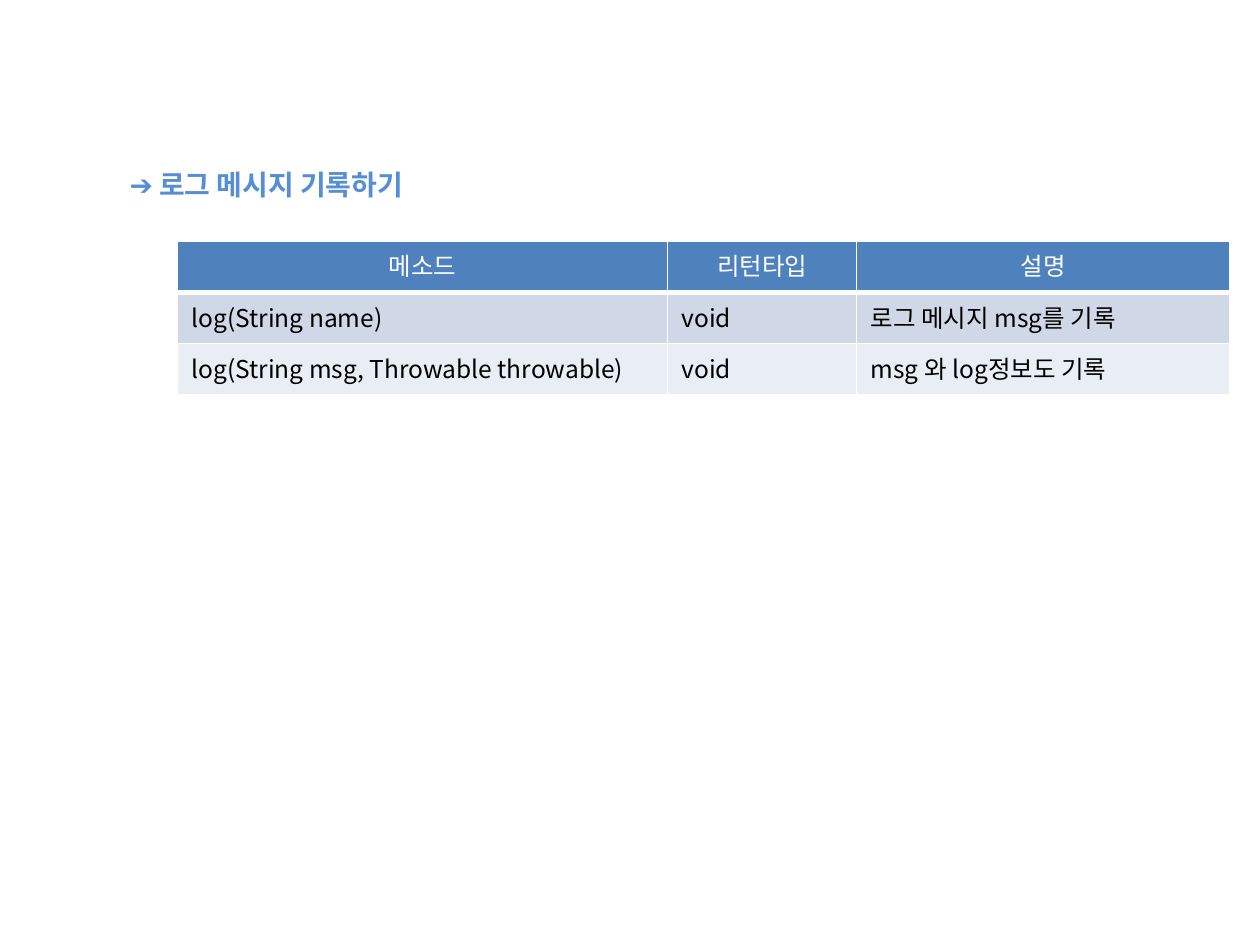
import pptx
import pptx.dml.color
import pptx.enum.text
import pptx.oxml
import pptx.oxml.ns
import pptx.util

FONT = "Noto Sans CJK KR"
WIDTH, HEIGHT = pptx.util.Inches(10), pptx.util.Inches(7.5)
ALIGN = pptx.enum.text.PP_ALIGN
INSETS = {"margin_left": 0.11, "margin_right": 0.11, "margin_top": 0.05, "margin_bottom": 0.05}
COLUMNS = (0.389, 0.15, 0.296)
ROW = 0.0543
FILLS = ("4F81BD", "D0D8E8", "E9EDF4")
METHODS = (
    ("메소드", "리턴타입", "설명"),
    ("log(String name)", "void", "로그 메시지 msg를 기록"),
    ("log(String msg, Throwable throwable)", "void", "msg 와 log정보도 기록"),
)


def rgb(value):
    """Return the colour of a hex string."""
    return pptx.dml.color.RGBColor.from_string(value)


def box(x, y, w, h):
    """Turn shares of the slide's size into left, top, width and height."""
    return int(x * WIDTH), int(y * HEIGHT), int(w * WIDTH), int(h * HEIGHT)


def write(tf, text, color, size, bold=False, align=ALIGN.LEFT):
    """Write one formatted line into a text frame."""
    p = tf.paragraphs[0]
    p.alignment = align
    r = p.add_run()
    r.text = text
    for name, value in {"name": FONT, "size": pptx.util.Pt(size), "bold": bold}.items():
        setattr(r.font, name, value)
    r.font.color.rgb = rgb(color)
    ea = pptx.oxml.parse_xml(f'<a:ea {pptx.oxml.ns.nsdecls("a")} typeface="{FONT}"/>')
    r.font._element.append(ea)


def add_heading(s, text, place):
    """Add the slide's heading on a single line."""
    tf = s.shapes.add_textbox(*box(*place)).text_frame
    tf.word_wrap = False
    tf.auto_size = pptx.enum.text.MSO_AUTO_SIZE.SHAPE_TO_FIT_TEXT
    write(tf, text, "558ED5", 16, bold=True)


def set_borders(cell, widths):
    """Give a cell white borders, with widths in points by side."""
    tc_pr = cell._tc.get_or_add_tcPr()
    for side, width in widths.items():
        tc_pr.append(pptx.oxml.parse_xml(
            f'<a:ln{side} {pptx.oxml.ns.nsdecls("a")} w="{pptx.util.Pt(width)}">'
            f'<a:solidFill><a:srgbClr val="FFFFFF"/></a:solidFill></a:ln{side}>'))


def fill_cell(cell, text, row):
    """Write and style a cell as its row requires."""
    header = row == 0
    for name, value in INSETS.items():
        setattr(cell, name, pptx.util.Inches(value))
    set_borders(cell, {"L": 1, "R": 1, "T": 3 if row == 1 else 1, "B": 3 if header else 1})
    cell.fill.solid()
    cell.fill.fore_color.rgb = rgb(FILLS[row])
    write(cell.text_frame, text, "FFFFFF" if header else "000000", 14,
          align=ALIGN.CENTER if header else ALIGN.LEFT)


def add_method_table(s, x, y):
    """Add the table of logging methods at a share of the slide."""
    place = box(x, y, sum(COLUMNS), ROW * len(METHODS))
    table = s.shapes.add_table(len(METHODS), len(COLUMNS), *place).table
    for column, share in zip(table.columns, COLUMNS):
        column.width = int(share * WIDTH)
    for i, texts in enumerate(METHODS):
        table.rows[i].height = int(ROW * HEIGHT)
        for j, text in enumerate(texts):
            fill_cell(table.cell(i, j), text, i)


def main():
    """Build the slide and save it."""
    prs = pptx.Presentation()
    prs.slide_width, prs.slide_height = WIDTH, HEIGHT
    s = prs.slides.add_slide(prs.slide_layouts[6])
    add_heading(s, "➔ 로그 메시지 기록하기", (0.093, 0.171, 0.27, 0.049))
    add_method_table(s, 0.141, 0.255)
    prs.save("out.pptx")


if __name__ == "__main__":
    main()
